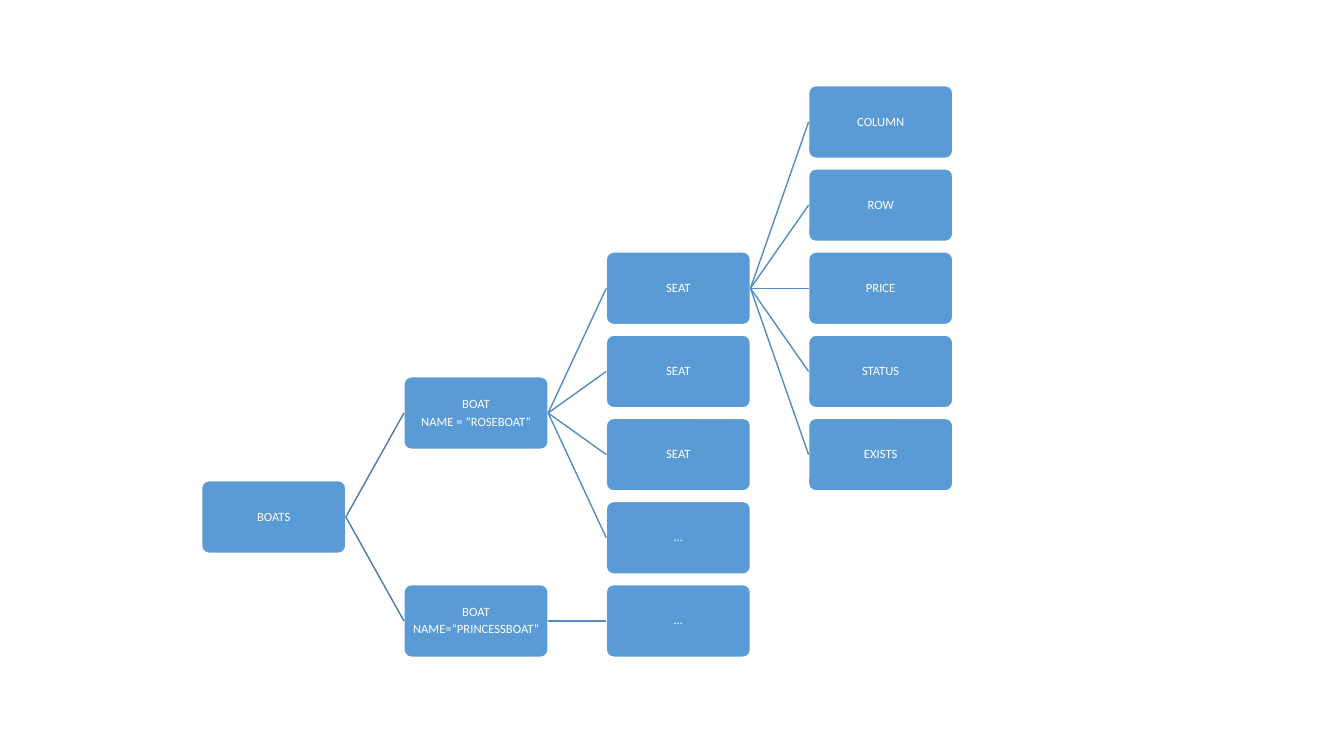
from lxml import etree
from pptx import Presentation
from pptx.dml.color import RGBColor
from pptx.enum.shapes import MSO_CONNECTOR, MSO_SHAPE
from pptx.enum.text import MSO_ANCHOR, PP_ALIGN
from pptx.oxml.ns import qn
from pptx.util import Inches, Pt

WHITE = RGBColor(0xFF, 0xFF, 0xFF)
BOX_BLUE = RGBColor(0x5B, 0x9B, 0xD5)
ROOT_LINE = RGBColor(0x49, 0x7C, 0xAB)
BRANCH_LINE = RGBColor(0x53, 0x8D, 0xC1)

# Grid: one column per tree level, one row per leaf
LEFT, TOP = Inches(2), Inches(0.85)
BOX_WIDTH, BOX_HEIGHT = Inches(1.43), Inches(0.72)
COLUMN_STEP = Inches(6.02) / 3
ROW_STEP = Inches(4.95) / 6
LEFT_SITE, RIGHT_SITE = 1, 3

# Each node: key, parent, level, row, lines of text
NODES = [
    ("boats", None, 0, 4.75, ["BOATS"]),
    ("rose", "boats", 1, 3.5, ["BOAT", "NAME = “ROSEBOAT”"]),
    ("seat 1", "rose", 2, 2, ["SEAT"]),
    ("column", "seat 1", 3, 0, ["COLUMN"]),
    ("row", "seat 1", 3, 1, ["ROW"]),
    ("price", "seat 1", 3, 2, ["PRICE"]),
    ("status", "seat 1", 3, 3, ["STATUS"]),
    ("exists", "seat 1", 3, 4, ["EXISTS"]),
    ("seat 2", "rose", 2, 3, ["SEAT"]),
    ("seat 3", "rose", 2, 4, ["SEAT"]),
    ("more seats", "rose", 2, 5, ["…"]),
    ("princess", "boats", 1, 6, ["BOAT", "NAME=“PRINCESSBOAT”"]),
    ("princess seats", "princess", 2, 6, ["…"]),
]

deck = Presentation()
deck.slide_width, deck.slide_height = Inches(13.33), Inches(7.5)
page = deck.slides.add_slide(deck.slide_layouts[6])

boxes = {}
for key, parent, level, row, lines in NODES:
    # Box
    box = page.shapes.add_shape(
        MSO_SHAPE.ROUNDED_RECTANGLE,
        round(LEFT + level * COLUMN_STEP), round(TOP + row * ROW_STEP),
        BOX_WIDTH, BOX_HEIGHT)
    box.adjustments[0] = 0.1
    box.shadow.inherit = False
    box.fill.solid()
    box.fill.fore_color.rgb = BOX_BLUE
    box.line.color.rgb = WHITE
    box.line.width = Pt(1)
    boxes[key] = box

    # Label
    frame = box.text_frame
    frame.word_wrap = True
    frame.vertical_anchor = MSO_ANCHOR.MIDDLE
    frame.margin_left = frame.margin_right = Inches(0.03)
    frame.margin_top = frame.margin_bottom = Inches(0.03)
    for index, line in enumerate(lines):
        para = frame.add_paragraph() if index else frame.paragraphs[0]
        para.alignment = PP_ALIGN.CENTER
        para.line_spacing = 0.9
        para.space_after = Pt(3)
        span = para.add_run()
        span.text = line
        span.font.name = "Calibri"
        span.font.size = Pt(9)
        span.font.color.rgb = WHITE

    # Link from the parent
    if parent:
        link = page.shapes.add_connector(MSO_CONNECTOR.STRAIGHT, 0, 0, 0, 0)
        link.begin_connect(boxes[parent], RIGHT_SITE)
        link.end_connect(box, LEFT_SITE)
        link.line.color.rgb = ROOT_LINE if level == 1 else BRANCH_LINE
        link.line.width = Pt(1)
        etree.SubElement(link._element.spPr, qn("a:effectLst"))

deck.save("out.pptx")
